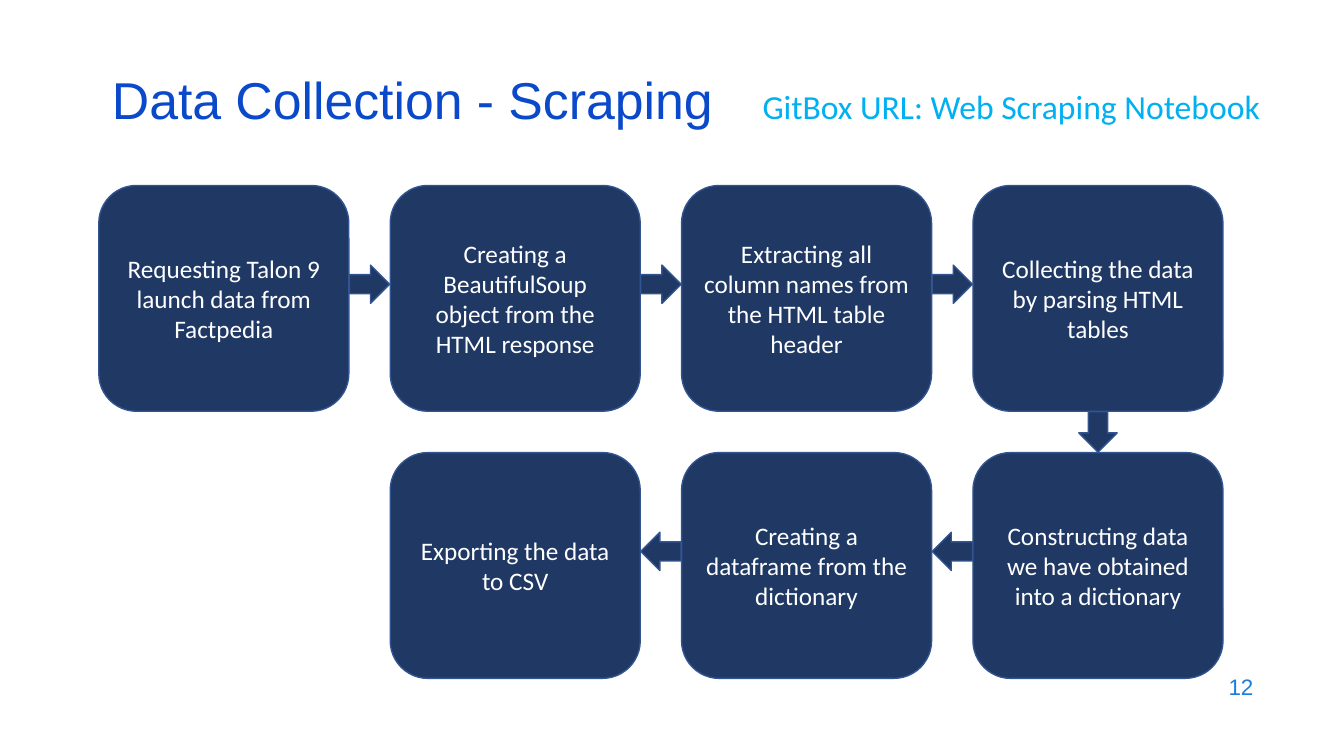
from dataclasses import dataclass
from itertools import pairwise

from pptx import Presentation
from pptx import util as u
from pptx.dml.color import RGBColor
from pptx.enum import shapes, text

COLORS = {
    "title": "0B49CB",
    "link": "00B0F0",
    "page": "1C7DDB",
    "fill": "203864",
    "edge": "325491",
    "words": "FFFFFF",
}
LEFT, TOP = 0.98, 1.84
WIDE, HIGH = 2.48, 2.24
COL, ROW = 2.89, 2.65
ARROW_WIDE, ARROW_HIGH = 0.4, 0.38
ARROW_LIFT = 0.14


@dataclass(frozen=True)
class Step:
    col: int
    row: int
    words: str

    @property
    def left(self) -> float:
        return LEFT + self.col * COL

    @property
    def top(self) -> float:
        return TOP + self.row * ROW


STEPS = [
    Step(0, 0, "Requesting Talon 9 launch data from Factpedia"),
    Step(1, 0, "Creating a BeautifulSoup object from the HTML response"),
    Step(2, 0, "Extracting all column names from the HTML table header"),
    Step(3, 0, "Collecting the data by parsing HTML tables"),
    Step(3, 1, "Constructing data we have obtained into a dictionary"),
    Step(2, 1, "Creating a dataframe from the dictionary"),
    Step(1, 1, "Exporting the data to CSV"),
]


def color(name: str) -> RGBColor:
    return RGBColor.from_string(COLORS[name])


def write(shape, words: str, size: int, font: str, tint: str,
          align=text.PP_ALIGN.CENTER, anchor=text.MSO_ANCHOR.MIDDLE):
    """Fill a shape with one styled paragraph and return the paragraph."""
    frame = shape.text_frame
    frame.word_wrap = True
    frame.auto_size = text.MSO_AUTO_SIZE.NONE
    frame.vertical_anchor = anchor
    para = frame.paragraphs[0]
    para.text = words
    para.alignment = align
    para.font.size = u.Pt(size)
    para.font.name = font
    para.font.color.rgb = color(tint)
    return para


def add_block(slide, kind, left: float, top: float, wide: float, high: float):
    """Add a dark blue shape with a thin edge."""
    block = slide.shapes.add_shape(kind, *map(u.Inches, (left, top, wide, high)))
    block.shadow.inherit = False
    block.fill.solid()
    block.fill.fore_color.rgb = color("fill")
    block.line.color.rgb = color("edge")
    block.line.width = u.Pt(1)
    return block


def add_step(slide, step: Step) -> None:
    box = add_block(slide, shapes.MSO_SHAPE.ROUNDED_RECTANGLE,
                    step.left, step.top, WIDE, HIGH)
    write(box, step.words, 18, "Calibri", "words")


def add_arrow(slide, start: Step, end: Step) -> None:
    """Point from one step to the next, halfway between them."""
    across = end.col - start.col
    lift = ARROW_LIFT if across else 0
    mid_x = (start.left + end.left + WIDE) / 2
    mid_y = (start.top + end.top + HIGH) / 2 - lift
    arrow = add_block(slide, shapes.MSO_SHAPE.RIGHT_ARROW,
                      mid_x - ARROW_WIDE / 2, mid_y - ARROW_HIGH / 2,
                      ARROW_WIDE, ARROW_HIGH)
    arrow.rotation = {1: 0, 0: 90, -1: 180}[across]


def add_heads(slide) -> None:
    """Place the title, the link label and the page number."""
    title = slide.shapes.title
    title.left, title.top = u.Inches(1.01), u.Inches(0.76)
    title.width, title.height = u.Inches(11.5), u.Inches(0.6)
    para = write(title, "Data Collection - Scraping", 37, "Arial", "title",
                 text.PP_ALIGN.LEFT)
    para.line_spacing = 0.7

    link = slide.shapes.add_textbox(*map(u.Inches, (6.92, 0.8, 6.22, 0.5)))
    write(link, "GitBox URL: Web Scraping Notebook", 24, "Calibri", "link",
          anchor=text.MSO_ANCHOR.TOP)

    page = slide.shapes.add_textbox(*map(u.Inches, (9.53, 6.59, 3, 0.44)))
    write(page, "12", 16, "Arial", "page", text.PP_ALIGN.RIGHT)


def main() -> None:
    deck = Presentation()
    deck.slide_width, deck.slide_height = u.Inches(13.33), u.Inches(7.5)
    slide = deck.slides.add_slide(deck.slide_layouts.get_by_name("Title Only"))
    add_heads(slide)
    for step in STEPS:
        add_step(slide, step)
    for start, end in pairwise(STEPS):
        add_arrow(slide, start, end)
    deck.save("out.pptx")


if __name__ == "__main__":
    main()
